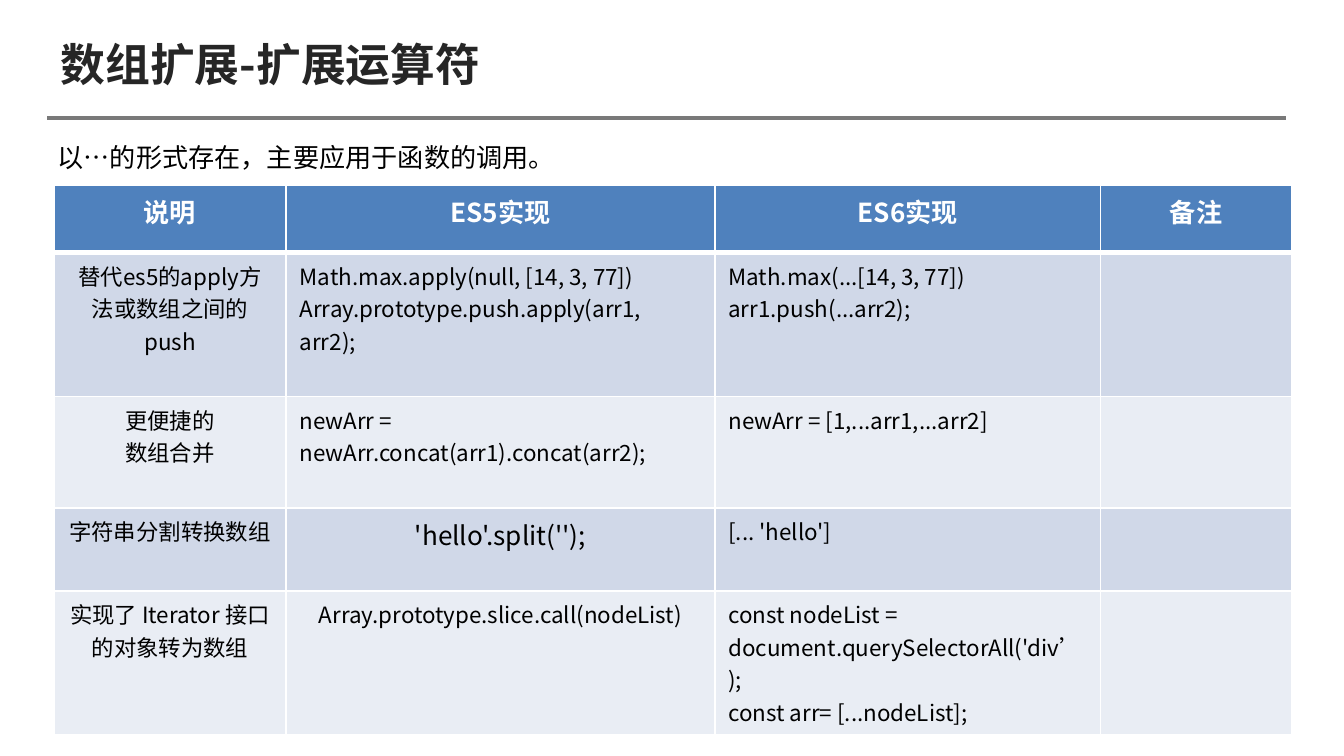
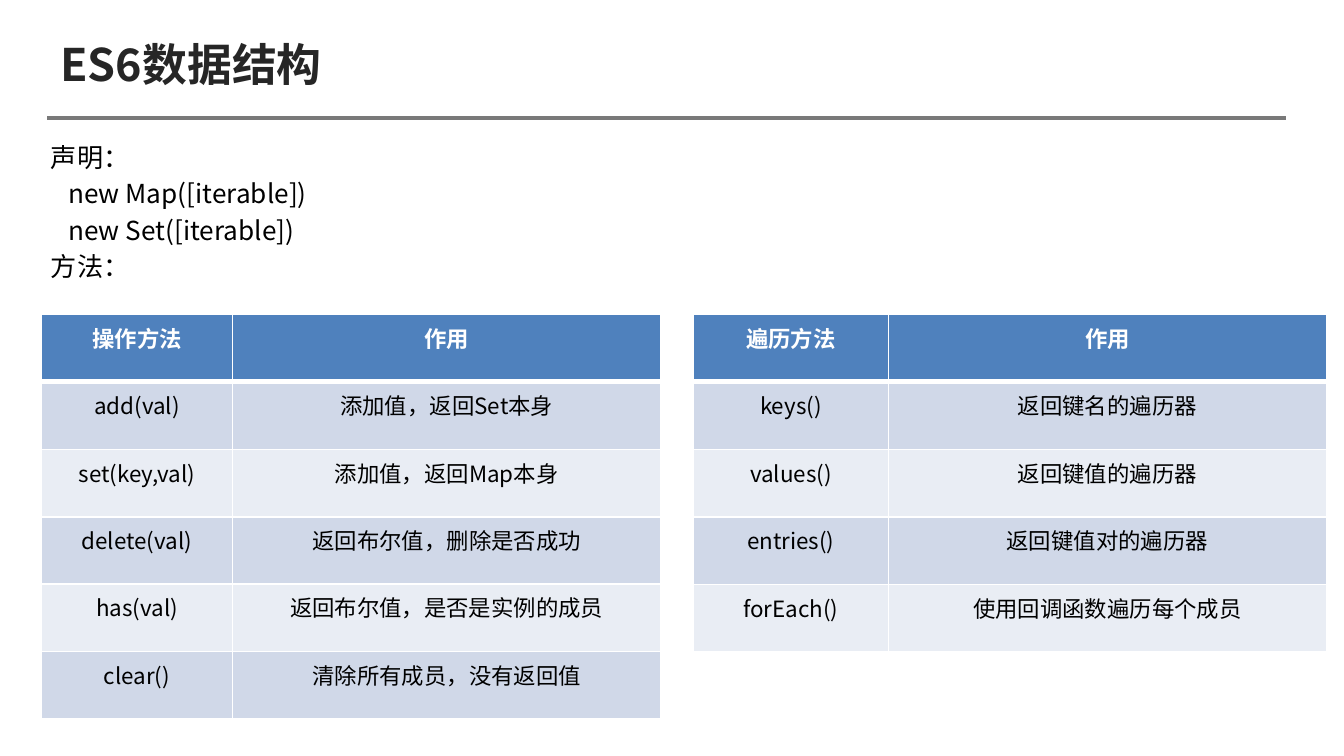
"""Build two slides on ES6 array spreading and data structures."""
from dataclasses import dataclass

from lxml import etree
from pptx import Presentation
from pptx import util as u
from pptx.dml import color
from pptx.enum import shapes, text
from pptx.oxml import ns

FONT = "Noto Sans CJK SC"
BLACK, WHITE, TITLE, RULE = "000000", "FFFFFF", "262626", "797979"
HEADER, BANDS = "4F81BD", ("D0D8E8", "E9EDF4")
CENTER, LEFT = text.PP_ALIGN.CENTER, text.PP_ALIGN.LEFT


@dataclass(frozen=True)
class Cell:
    lines: tuple[str, ...] = ()
    align: text.PP_ALIGN = CENTER
    size: float = 12


@dataclass(frozen=True)
class Grid:
    left: float
    top: float
    widths: tuple[float, ...]
    heights: tuple[float, ...]
    rows: list[list[Cell]]


@dataclass(frozen=True)
class Line:
    words: str
    indent: float = 0


def rgb(value: str) -> color.RGBColor:
    return color.RGBColor.from_string(value)


def add_span(para, words: str, size: float, hue: str, bold: bool = False) -> None:
    span = para.add_run()
    span.text = words
    span.font.name = FONT
    span.font.size = u.Pt(size)
    span.font.bold = bold
    span.font.color.rgb = rgb(hue)
    etree.SubElement(span.font._element, ns.qn("a:ea"), typeface=FONT)


def paragraphs(frame, count: int) -> list:
    return [frame.paragraphs[0]] + [frame.add_paragraph() for _ in range(count - 1)]


def add_border(cell, side: str, points: float) -> None:
    properties = cell._tc.get_or_add_tcPr()
    line = etree.SubElement(properties, ns.qn(f"a:ln{side}"), w=str(u.Pt(points)))
    fill = etree.SubElement(line, ns.qn("a:solidFill"))
    etree.SubElement(fill, ns.qn("a:srgbClr"), val=WHITE)


def add_grid(page, grid: Grid) -> None:
    table = page.shapes.add_table(
        len(grid.rows), len(grid.widths), u.Inches(grid.left), u.Inches(grid.top),
        u.Inches(sum(grid.widths)), u.Inches(sum(grid.heights))).table
    for column, width in zip(table.columns, grid.widths):
        column.width = u.Inches(width)
    for row, height in zip(table.rows, grid.heights):
        row.height = u.Inches(height)
    for r, entries in enumerate(grid.rows):
        heading = r == 0
        for c, entry in enumerate(entries):
            cell = table.cell(r, c)
            for side in "LRTB":
                thick = (r, side) in ((0, "B"), (1, "T"))
                add_border(cell, side, 3 if thick else 1)
            cell.fill.solid()
            cell.fill.fore_color.rgb = rgb(HEADER if heading else BANDS[(r - 1) % 2])
            for para, words in zip(paragraphs(cell.text_frame, len(entry.lines)), entry.lines):
                para.alignment = entry.align
                add_span(para, words, entry.size, WHITE if heading else BLACK, heading)


def add_page(deck, title: str, lines: list[Line]):
    page = deck.slides.add_slide(deck.slide_layouts[5])
    rule = page.shapes.add_connector(
        shapes.MSO_CONNECTOR.STRAIGHT,
        u.Inches(0.35), u.Inches(0.88), u.Inches(9.57), u.Inches(0.88))
    rule.line.color.rgb = rgb(RULE)
    rule.line.width = u.Pt(2.25)
    etree.SubElement(rule._element.spPr, ns.qn("a:effectLst"))

    box = page.shapes.title
    box.left, box.top = u.Inches(0.35), u.Inches(0.23)
    box.width, box.height = u.Inches(9.21), u.Inches(0.54)
    frame = box.text_frame
    frame.auto_size = text.MSO_AUTO_SIZE.NONE
    frame.vertical_anchor = text.MSO_ANCHOR.MIDDLE
    frame.margin_bottom = u.Inches(0.11)
    frame.paragraphs[0].alignment = LEFT
    add_span(frame.paragraphs[0], title, 24, TITLE, True)

    body = page.shapes.add_textbox(
        u.Inches(0.28), u.Inches(1), u.Inches(9.45), u.Inches(4.57)).text_frame
    body.word_wrap = True
    for para, line in zip(paragraphs(body, len(lines)), lines):
        para.space_before = u.Pt(2.8)
        para._p.get_or_add_pPr().set("marL", str(u.Inches(line.indent)))
        add_span(para, line.words, 14, BLACK)
    return page


def code(*lines: str) -> Cell:
    return Cell(lines, LEFT)


def method_grid(left: float, widths: tuple[float, ...], height: float,
                pairs: list[tuple[str, str]]) -> Grid:
    rows = [[Cell((words,)) for words in pair] for pair in pairs]
    return Grid(left, 2.34, widths, (height / len(rows),) * len(rows), rows)


SPREAD = Grid(0.4, 1.38, (1.73, 3.19, 2.87, 1.42), (0.5, 1.07, 0.83, 0.62, 1.07), [
    [Cell((words,), size=14) for words in ("说明", "ES5实现", "ES6实现", "备注")],
    [Cell(("替代es5的apply方法或数组之间的push",)),
     code("Math.max.apply(null, [14, 3, 77])", "Array.prototype.push.apply(arr1, arr2);"),
     code("Math.max(...[14, 3, 77]) arr1.push(...arr2);"), Cell()],
    [Cell(("更便捷的", "数组合并")),
     code("newArr = newArr.concat(arr1).concat(arr2);"),
     code("newArr = [1,...arr1,...arr2]"), Cell()],
    [Cell(("字符串分割转换数组",)), Cell(("'hello'.split('');",), size=14),
     code("[... 'hello']"), Cell()],
    [Cell(("实现了 Iterator 接口的对象转为数组",)),
     Cell(("Array.prototype.slice.call(nodeList)",)),
     code("const nodeList = document.querySelectorAll('div’);", "const arr= [...nodeList];"),
     Cell()],
])

OPERATIONS = method_grid(0.31, (1.42, 3.19), 3.01, [
    ("操作方法", "作用"),
    ("add(val)", "添加值，返回Set本身"),
    ("set(key,val)", "添加值，返回Map本身"),
    ("delete(val)", "返回布尔值，删除是否成功"),
    ("has(val)", "返回布尔值，是否是实例的成员"),
    ("clear()", "清除所有成员，没有返回值"),
])

TRAVERSALS = method_grid(5.16, (1.45, 3.26), 2.51, [
    ("遍历方法", "作用"),
    ("keys()", "返回键名的遍历器"),
    ("values()", "返回键值的遍历器"),
    ("entries()", "返回键值对的遍历器"),
    ("forEach()", "使用回调函数遍历每个成员"),
])


def main() -> None:
    deck = Presentation()
    deck.slide_width = u.Inches(10)
    deck.slide_height = deck.slide_width * 9 // 16
    page = add_page(deck, "数组扩展-扩展运算符",
                    [Line("以…的形式存在，主要应用于函数的调用。", 0.05)])
    add_grid(page, SPREAD)
    page = add_page(deck, "ES6数据结构", [
        Line("声明："), Line("new Map([iterable])", 0.13),
        Line("new Set([iterable])", 0.13), Line("方法：")])
    for grid in (OPERATIONS, TRAVERSALS):
        add_grid(page, grid)
    deck.save("out.pptx")


if __name__ == "__main__":
    main()
